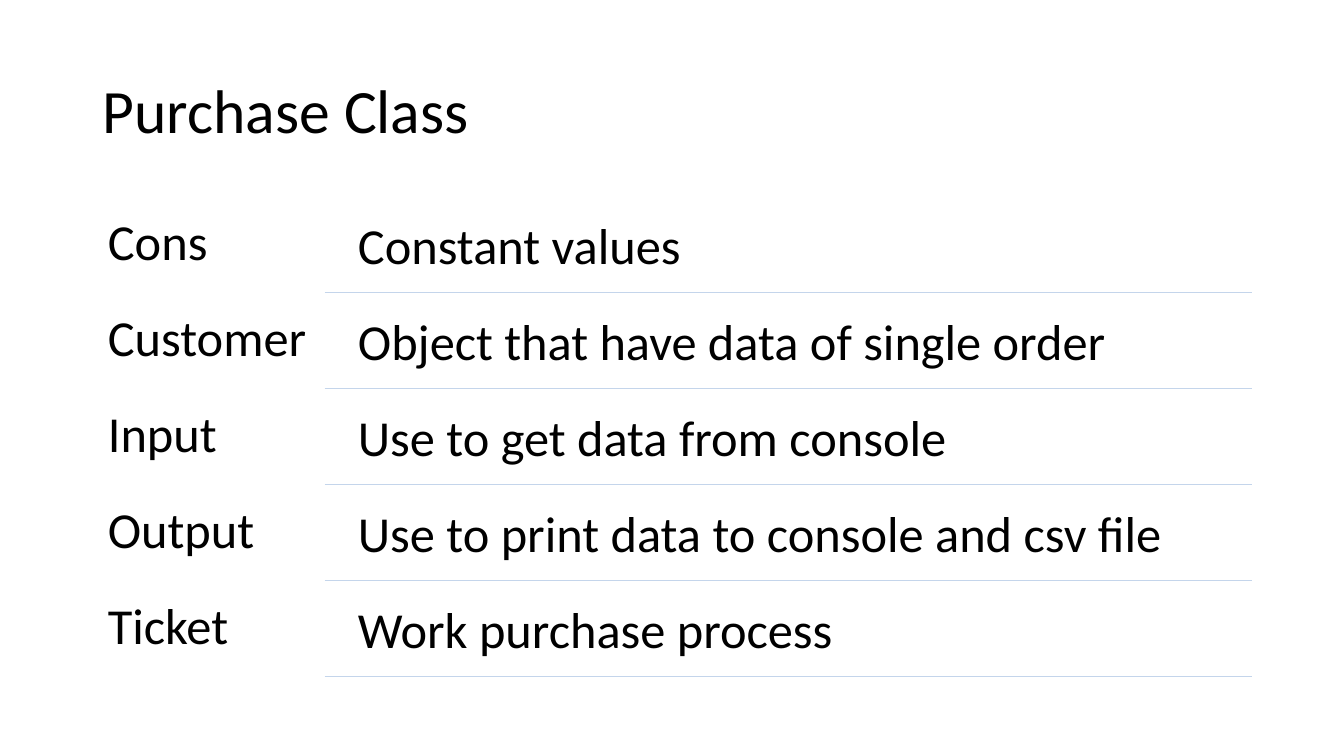
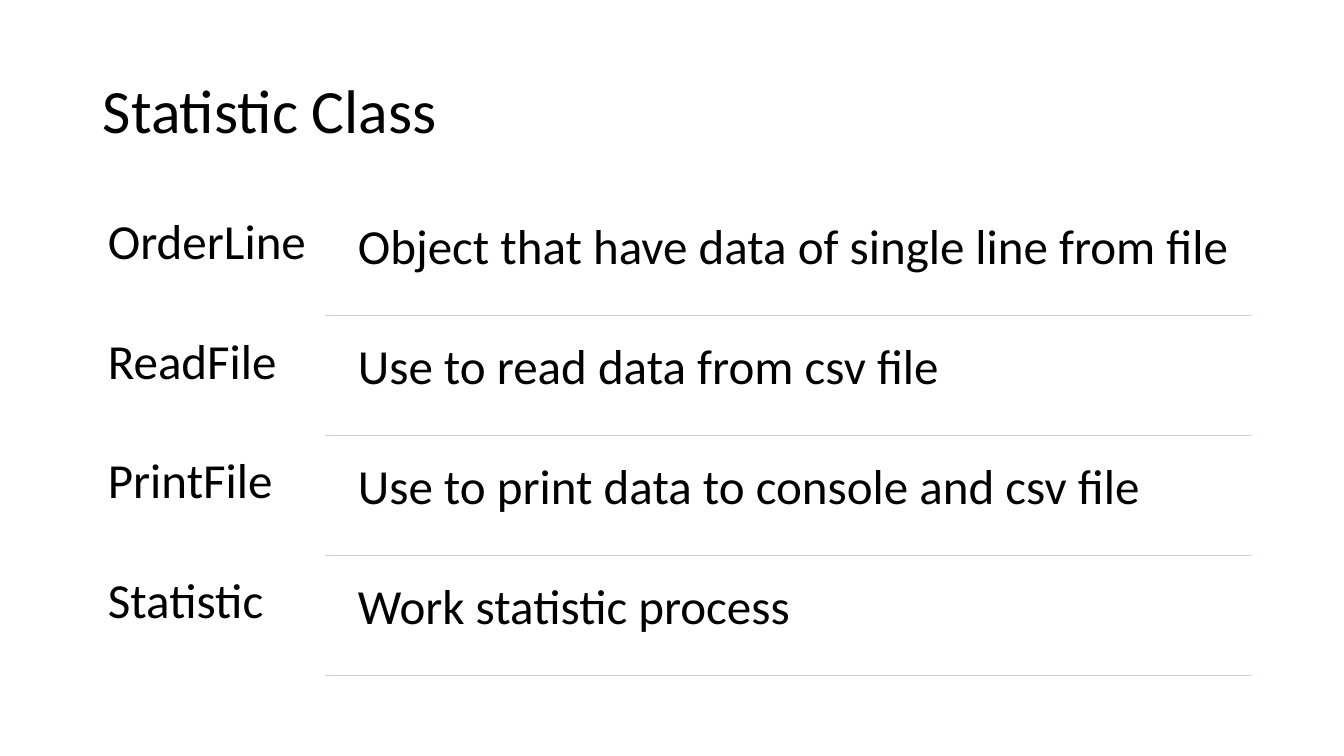
from lxml import etree
from pptx import Presentation
from pptx import util as u
from pptx.dml.color import RGBColor
from pptx.enum import shapes, text
from pptx.oxml.ns import qn

TITLE_ONLY = 5


def color(hex_value):
    return RGBColor.from_string(hex_value)


class Deck:
    FONT, INK, RULE = "Calibri", "000000", "C4D5EB"
    WIDTH, HEIGHT = 13.33, 7.5
    LEFT, CONTENT_WIDTH = 0.92, 11.5
    TITLE_TOP, TITLE_HEIGHT, TITLE_SIZE = 0.4, 1.45, 44
    LIST_TOP, LIST_HEIGHT = 2, 4.76
    NAME_SHARE, GAP = 0.2, 0.18
    PADDING = 0.15

    def __init__(self):
        self.prs = Presentation()
        self.prs.slide_width = u.Inches(self.WIDTH)
        self.prs.slide_height = u.Inches(self.HEIGHT)
        self.slide = None

    def style(self, frame, words, size, anchor):
        frame.text = words
        frame.word_wrap = True
        frame.auto_size = text.MSO_AUTO_SIZE.NONE
        frame.vertical_anchor = anchor
        line = frame.paragraphs[0]
        line.alignment = text.PP_ALIGN.LEFT
        line.line_spacing = 0.9
        line.font.name = self.FONT
        line.font.size = u.Pt(size)
        line.font.color.rgb = color(self.INK)

    def new_slide(self, title):
        layout = self.prs.slide_layouts[TITLE_ONLY]
        self.slide = self.prs.slides.add_slide(layout)
        heading = self.slide.shapes.title
        heading.left, heading.top = u.Inches(self.LEFT), u.Inches(self.TITLE_TOP)
        heading.width = u.Inches(self.CONTENT_WIDTH)
        heading.height = u.Inches(self.TITLE_HEIGHT)
        self.style(heading.text_frame, title, self.TITLE_SIZE, text.MSO_ANCHOR.MIDDLE)

    def label(self, words, left, top, width, height, size):
        box = self.slide.shapes.add_textbox(*map(u.Inches, (left, top, width, height)))
        frame = box.text_frame
        frame.margin_left = frame.margin_right = u.Inches(self.PADDING)
        frame.margin_top = frame.margin_bottom = u.Inches(self.PADDING)
        self.style(frame, words, size, text.MSO_ANCHOR.TOP)

    def rule(self, left, right, y):
        line = self.slide.shapes.add_connector(
            shapes.MSO_CONNECTOR.STRAIGHT, *map(u.Inches, (left, y, right, y)))
        line.line.color.rgb = color(self.RULE)
        line.line.width = u.Pt(1)
        etree.SubElement(line._element.spPr, qn("a:effectLst"))

    def class_list(self, entries, size):
        """Share the list height equally among (class name, purpose) rows."""
        row = self.LIST_HEIGHT / len(entries)
        name_width = self.NAME_SHARE * self.CONTENT_WIDTH
        split = self.LEFT + name_width
        right = self.LEFT + self.CONTENT_WIDTH
        purpose_left = split + self.GAP
        for index, (name, purpose) in enumerate(entries):
            top = self.LIST_TOP + index * row
            purpose_top, rule_y = top + 0.045 * row, top + 0.95 * row
            self.label(name, self.LEFT, top, name_width, row, size)
            self.label(purpose, purpose_left, purpose_top,
                       right - purpose_left, rule_y - purpose_top, size)
            self.rule(split, right, rule_y)


def main():
    deck = Deck()
    deck.new_slide("Purchase Class")
    deck.class_list([
        ("Cons", "Constant values"),
        ("Customer", "Object that have data of single order"),
        ("Input", "Use to get data from console"),
        ("Output", "Use to print data to console and csv file"),
        ("Ticket", "Work purchase process"),
    ], size=36)
    deck.new_slide("Statistic Class")
    deck.class_list([
        ("OrderLine", "Object that have data of single line from file"),
        ("ReadFile", "Use to read data from csv file"),
        ("PrintFile", "Use to print data to console and csv file"),
        ("Statistic", "Work statistic process"),
    ], size=35)
    deck.prs.save("out.pptx")


if __name__ == "__main__":
    main()
